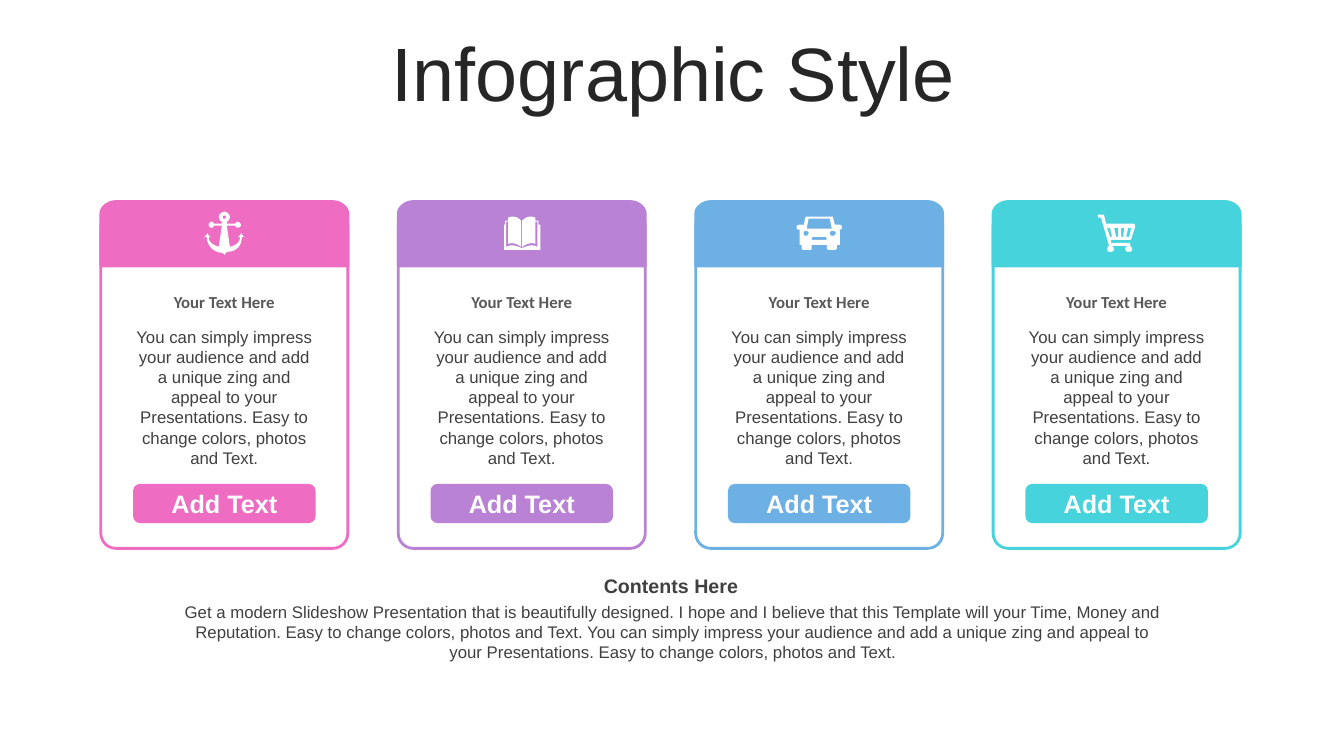
import dataclasses

import pptx
import pptx.dml.color
import pptx.enum.shapes
import pptx.enum.text
import pptx.util

Inches = pptx.util.Inches
MSO_SHAPE = pptx.enum.shapes.MSO_SHAPE
ANCHOR = pptx.enum.text.MSO_ANCHOR
AUTO_SIZE = pptx.enum.text.MSO_AUTO_SIZE


@dataclasses.dataclass(frozen=True)
class Theme:
    white: str = "FFFFFF"
    title: str = "262626"
    heading: str = "595959"
    body: str = "404040"
    accents: tuple = ("EE6CC1", "B982D5", "6DB0E4", "47D3DC")
    font: str = "Arial"
    heading_font: str = "Calibri"
    title_size: int = 54
    button_size: int = 18
    contents_size: int = 14
    body_size: int = 12


THEME = Theme()

# Outlines in hundredths of an inch: M starts a contour, L lines, C cubic curves
HEADER = "M 15 0 L 230 0 C 238 0 245 6 245 12 L 245 64 0 64 0 12 C 0 6 7 0 15 0"
ANCHOR_ICON = """
    M 21 4 C 19 4 19 4 19 5 C 19 7 19 7 21 7 C 22 7 22 7 22 5 C 22 4 22 4 21 4
    M 21 0 C 23 0 26 3 26 5 C 26 7 25 9 23 10 L 23 12 31 12
    C 32 11 33 10 34 10 C 35 10 37 12 37 13 C 37 15 35 16 34 16
    C 33 16 32 15 31 14 L 23 14 26 35 C 32 33 36 31 36 25
    C 36 25 35 25 34 26 C 35 24 37 23 37 21 C 38 23 39 24 41 26
    C 40 25 39 25 38 25 C 38 33 33 40 23 40 C 22 41 21 42 21 43
    C 20 42 19 41 18 41 C 9 40 3 33 3 25 C 2 25 1 25 0 26
    C 2 24 3 23 4 21 C 4 23 6 24 7 26 C 6 25 6 25 5 25
    C 5 31 10 33 15 35 L 18 14 10 14 C 10 15 9 16 8 16
    C 6 16 5 15 5 13 C 5 12 6 10 8 10 C 9 10 10 11 10 12
    L 18 12 18 10 C 16 9 15 7 15 5 C 15 3 18 0 21 0"""
BOOK_ICON = """
    M 17 31 L 18 31 C 24 29 27 27 33 30 L 33 5 31 5 31 27
    C 27 25 22 27 18 30 L 18 4 C 21 1 23 0 26 0 C 28 0 29 0 31 1
    L 31 4 34 4 34 8 36 8 36 33 0 33 0 8 1 8 1 4 4 4 4 1
    C 6 0 7 0 9 0 C 12 0 14 1 17 4 L 17 30 C 13 27 8 25 4 27
    L 4 5 2 5 2 30 C 8 27 12 29 17 31"""
CAR_ICON = """
    M 17 20 C 16 20 15 21 15 22 C 15 23 16 23 17 23 L 29 23
    C 29 23 30 23 30 22 C 30 21 29 20 29 20
    M 36 14 C 34 14 33 15 33 16 C 33 18 34 19 36 19
    C 37 19 39 18 39 16 C 39 15 37 14 36 14
    M 9 14 C 8 14 7 15 7 16 C 7 18 8 19 9 19
    C 11 19 12 18 12 16 C 12 15 11 14 9 14
    M 12 2 L 10 12 35 12 33 2
    M 9 0 L 36 0 38 8 43 8 C 44 8 45 9 45 10 L 45 11
    C 45 12 44 13 43 13 L 42 13 43 14 43 28 40 28 40 31
    C 40 32 39 33 38 33 L 32 33 C 31 33 30 32 30 31 L 30 28 15 28 15 31
    C 15 32 15 33 14 33 L 7 33 C 6 33 5 32 5 31 L 5 28 3 28 3 13
    C 1 13 0 12 0 11 L 0 10 C 0 9 1 8 3 8 L 6 8 7 9"""
CART_ICON = """
    M 30 13 L 28 22 31 22 33 13
    M 23 13 L 23 22 25 22 26 13
    M 16 13 L 18 22 20 22 20 13
    M 9 13 L 12 22 14 22 12 13
    M 6 0 L 8 9 35 9 C 36 9 37 10 37 12 L 33 24 C 33 25 32 25 31 25
    L 13 25 13 28 32 28 32 31 C 33 32 34 33 34 34 C 34 36 32 37 30 37
    C 29 37 27 36 27 34 C 27 33 28 32 29 31 L 14 31
    C 15 32 16 33 16 34 C 16 36 14 37 12 37 C 11 37 9 36 9 34
    C 9 33 10 32 11 31 L 3 3 0 3 0 0"""

# Icon outline with its offset inside the card
ICONS = ((ANCHOR_ICON, 1.02, 0.1), (BOOK_ICON, 1.05, 0.15),
         (CAR_ICON, 1, 0.15), (CART_ICON, 1.04, 0.13))

CARD_TEXT = ("You can simply impress your audience and add a unique zing and appeal "
             "to your Presentations. Easy to change colors, photos and Text.")
CONTENTS_TEXT = (
    "Get a modern Slideshow Presentation that is beautifully designed. I hope and I "
    "believe that this Template will your Time, Money and Reputation. Easy to change "
    "colors, photos and Text. " + CARD_TEXT)


def rgb(color):
    return pptx.dml.color.RGBColor.from_string(color)


def paint(shape, fill, line=None):
    shape.shadow.inherit = False
    shape.fill.solid()
    shape.fill.fore_color.rgb = rgb(fill)
    if line:
        shape.line.color.rgb = rgb(line)
        shape.line.width = pptx.util.Pt(2)
    else:
        shape.line.fill.background()


def write(shape, text, size, color, bold=False, font=THEME.font,
          anchor=ANCHOR.TOP, auto_size=AUTO_SIZE.NONE):
    frame = shape.text_frame
    frame.text = text
    frame.word_wrap = True
    frame.auto_size = auto_size
    frame.vertical_anchor = anchor
    paragraph = frame.paragraphs[0]
    paragraph.alignment = pptx.enum.text.PP_ALIGN.CENTER
    paragraph.font.name = font
    paragraph.font.size = pptx.util.Pt(size)
    paragraph.font.bold = bold
    paragraph.font.color.rgb = rgb(color)
    return paragraph


def add_text(slide, box, text, size, color, **style):
    textbox = slide.shapes.add_textbox(*map(Inches, box))
    write(textbox, text, size, color, auto_size=AUTO_SIZE.SHAPE_TO_FIT_TEXT, **style)


def add_rounded(slide, box, radius):
    rounded = slide.shapes.add_shape(MSO_SHAPE.ROUNDED_RECTANGLE, *map(Inches, box))
    rounded.adjustments[0] = radius
    return rounded


def trace(outline, steps=8):
    """Turn an outline into contours of points, with curves as short lines."""
    contours, command, numbers = [], "", []
    for token in outline.split():
        if token in "MLC":
            command = token
            continue
        numbers.append(int(token))
        if len(numbers) < (6 if command == "C" else 2):
            continue
        if command == "M":
            contours.append([tuple(numbers)])
        elif command == "L":
            contours[-1].append(tuple(numbers))
        else:
            start = contours[-1][-1]
            controls = (start, numbers[:2], numbers[2:4], numbers[4:])
            for t in (step / steps for step in range(1, steps + 1)):
                weights = ((1 - t) ** 3, 3 * t * (1 - t) ** 2, 3 * t * t * (1 - t), t ** 3)
                contours[-1].append(tuple(
                    sum(w * c[axis] for w, c in zip(weights, controls)) for axis in (0, 1)))
        numbers = []
    return contours


def add_outline(slide, left, top, outline, fill, line=None):
    contours = [[(Inches(left + x / 100), Inches(top + y / 100)) for x, y in contour]
                for contour in trace(outline)]
    builder = slide.shapes.build_freeform(*contours[0][0])
    for contour in contours:
        builder.move_to(*contour[0])
        builder.add_line_segments(contour[1:], close=True)
    paint(builder.convert_to_shape(), fill, line)


def add_title(slide, box):
    title = slide.shapes.title
    title.left, title.top, title.width, title.height = map(Inches, box)
    paragraph = write(title, "Infographic Style", THEME.title_size, THEME.title,
                      anchor=ANCHOR.MIDDLE)
    paragraph.line_spacing = 0.9


def add_card(slide, box, accent, icon):
    left, top, width, height = box
    # Frame and coloured header
    frame = add_rounded(slide, (left, top + 0.09, width, height - 0.09), 0.061)
    paint(frame, THEME.white, accent)
    add_outline(slide, left, top, HEADER, accent, accent)
    outline, icon_left, icon_top = icon
    add_outline(slide, left + icon_left, top + icon_top, outline, THEME.white)
    # Button
    button = add_rounded(slide, (left + 0.32, top + 2.8, width - 0.64, 0.39), 0.178)
    paint(button, accent)
    write(button, "Add Text", THEME.button_size, THEME.white, bold=True,
          anchor=ANCHOR.MIDDLE)
    # Heading and description
    text_left, text_width = left + 0.21, width - 0.42
    add_text(slide, (text_left, top + 0.85, text_width, 0.3), "Your Text Here",
             THEME.body_size, THEME.heading, bold=True, font=THEME.heading_font)
    add_text(slide, (text_left, top + 1.19, text_width, 1.31), CARD_TEXT,
             THEME.body_size, THEME.body)


def add_contents(slide, box):
    left, top, width, height = box
    add_text(slide, (left, top, width, 0.34), "Contents Here", THEME.contents_size,
             THEME.body, bold=True, anchor=ANCHOR.MIDDLE)
    add_text(slide, (left + 0.02, top + 0.28, width, height - 0.28), CONTENTS_TEXT,
             THEME.body_size, THEME.body)


def main():
    deck = pptx.Presentation()
    deck.slide_width, deck.slide_height = Inches(13.33), Inches(7.5)
    slide = deck.slides.add_slide(deck.slide_layouts[5])
    add_title(slide, (0.35, 0.37, 12.66, 0.79))
    for column, (accent, icon) in enumerate(zip(THEME.accents, ICONS)):
        add_card(slide, (1 + 2.95 * column, 2, 2.45, 3.44), accent, icon)
    add_contents(slide, (1.66, 5.64, 9.99, 0.99))
    deck.save("out.pptx")


if __name__ == "__main__":
    main()
